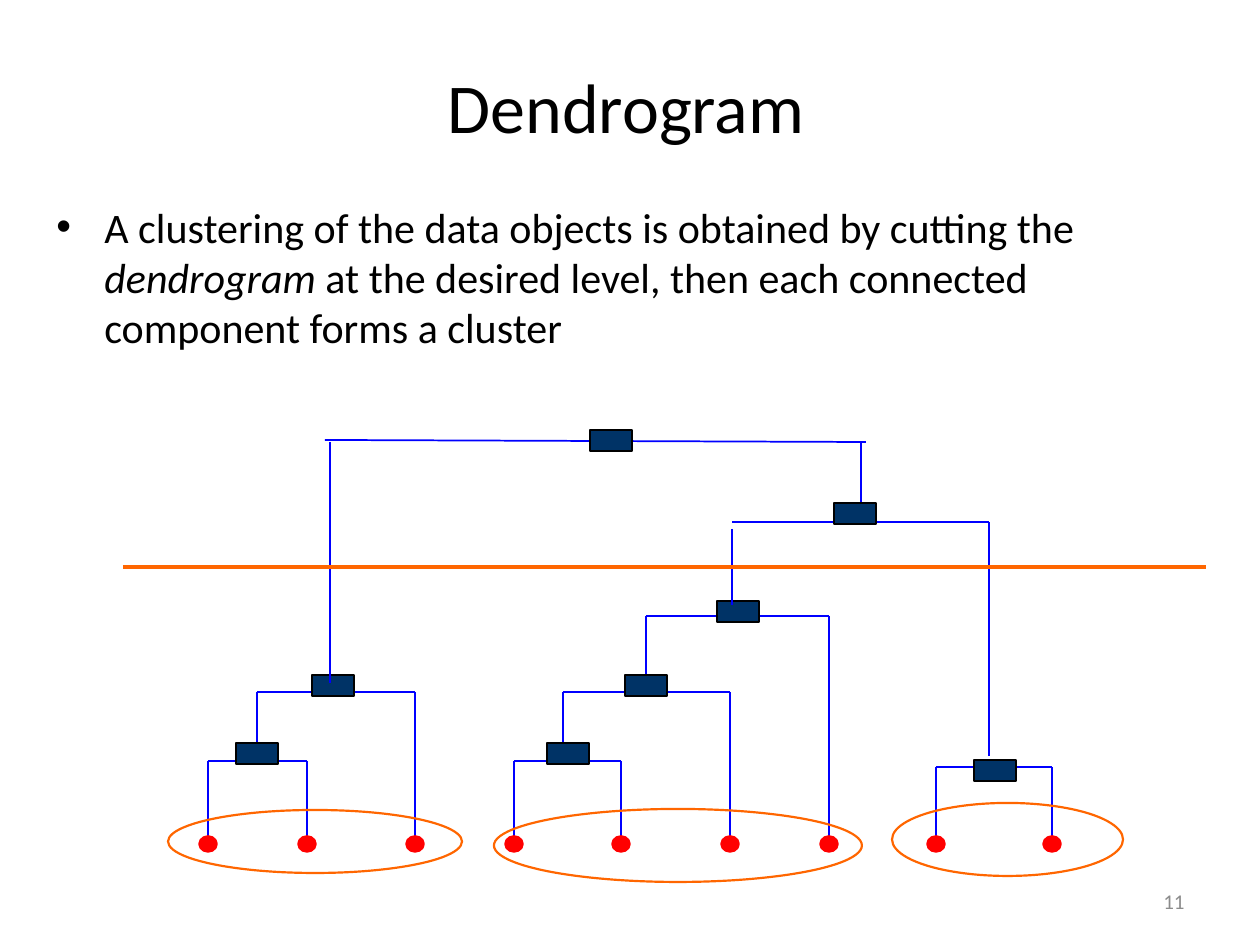
from lxml.etree import SubElement
from pptx import Presentation
from pptx.dml.color import RGBColor
from pptx.enum.shapes import MSO_CONNECTOR as Connector, MSO_SHAPE as Shape
from pptx.enum.text import MSO_ANCHOR as Anchor, PP_ALIGN as Align
from pptx.oxml.ns import qn
from pptx.util import Pt

SCALE = 914400 / 126
COLORS = {
    "text": "000000", "number": "8C8C8C", "link": "0000FF", "leaf": "FF0000",
    "node": "003366", "node_edge": "000000", "cut": "FF6600",
}


def px(length):
    """Turn px into EMU."""
    return round(length * SCALE)


def color(key):
    """Look up a colour."""
    return RGBColor.from_string(COLORS[key])


def add_text(slide, box, runs, size, color_key="text", align=Align.LEFT, anchor=Anchor.TOP):
    """Place one paragraph of (words, italic) runs in a box and return it."""
    frame = slide.shapes.add_textbox(*map(px, box)).text_frame
    for name, value in {"word_wrap": True, "vertical_anchor": anchor}.items():
        setattr(frame, name, value)
    paragraph = frame.paragraphs[0]
    paragraph.alignment = align
    for words, italic in runs:
        run = paragraph.add_run()
        run.text = words
        run.font.color.rgb = color(color_key)
        for name, value in {"name": "Calibri", "size": Pt(size), "italic": italic}.items():
            setattr(run.font, name, value)
    return paragraph


def add_line(slide, origin, points, color_key="link", width=1):
    """Draw a straight line between two points relative to the origin."""
    x, y = origin
    x1, y1, x2, y2 = points
    line = slide.shapes.add_connector(
        Connector.STRAIGHT, px(x + x1), px(y + y1), px(x + x2), px(y + y2))
    line.line.color.rgb = color(color_key)
    line.line.width = Pt(width)
    SubElement(line._element.spPr, qn("a:effectLst"))


def add_mark(slide, origin, box, kind, edge, width, fill=None):
    """Draw an outlined shape relative to the origin, filled if a colour is given."""
    left, top, *size = box
    mark = slide.shapes.add_shape(
        kind, *map(px, (origin[0] + left, origin[1] + top, *size)))
    mark.shadow.inherit = False
    mark.line.color.rgb = color(edge)
    mark.line.width = Pt(width)
    if fill:
        mark.fill.solid()
        mark.fill.fore_color.rgb = color(fill)
    else:
        mark.fill.background()


def add_nodes(slide, origin, corners):
    """Draw the merge nodes at their top left corners."""
    for left, top in corners:
        add_mark(slide, origin, (left, top, 42, 21), Shape.RECTANGLE, "node_edge", 0.75, "node")


def add_bullet(slide, box):
    """Place the bulleted explanation."""
    paragraph = add_text(slide, box, [
        ("A clustering of the data objects is obtained by cutting the ", False),
        ("dendrogram", True),
        (" at the desired level, then each connected component forms a cluster", False),
    ], 24)
    paragraph.space_before = Pt(5)
    properties = paragraph._p.get_or_add_pPr()
    properties.set("marL", str(px(48)))
    properties.set("indent", str(-px(48)))
    SubElement(properties, qn("a:buFont"), typeface="Arial")
    SubElement(properties, qn("a:buChar"), char="•")


def add_dendrogram(slide, origin):
    """Draw the merge tree, the cut and the resulting clusters."""
    leaf_y = 424
    merges = [
        (88, 187, 341, leaf_y), (137, 295, 272, 341),
        (394, 501, 341, leaf_y), (443, 610, 272, 341), (526, 709, 196, 272),
        (816, 932, 347, leaf_y),
    ]
    for left, right, top, left_end in merges:
        add_line(slide, origin, (left, top, right, top))
        add_line(slide, origin, (left, top, left, left_end))
        add_line(slide, origin, (right, top, right, leaf_y))

    left_leaves = [left for left, _, _, end in merges if end == leaf_y]
    for center in sorted(left_leaves + [right for _, right, _, _ in merges]):
        add_mark(slide, origin, (center - 8, leaf_y - 7, 16, 14), Shape.OVAL, "leaf", 2, "leaf")

    add_nodes(slide, origin, [(116, 323), (192, 255), (427, 323), (505, 255), (597, 181)])
    upper_links = [
        (612, 109, 612, 185), (869, 336, 869, 102), (869, 102, 612, 102),
        (741, 22, 741, 104), (746, 22, 205, 20), (210, 263, 210, 22),
    ]
    for points in upper_links:
        add_line(slide, origin, points)
    add_nodes(slide, origin, [(470, 10), (714, 83), (854, 340)])

    add_line(slide, origin, (3, 147, 1086, 147), "cut", 2)
    for cluster in [(48, 390, 294, 63), (374, 389, 368, 73), (772, 383, 231, 73)]:
        add_mark(slide, origin, cluster, Shape.OVAL, "cut", 1.25)


def main():
    """Build and save the slide."""
    deck = Presentation()
    deck.slide_width, deck.slide_height = px(1260), px(945)
    slide = deck.slides.add_slide(deck.slide_layouts[6])
    add_text(slide, (903, 876, 294, 50), [("11", False)], 12, "number", Align.RIGHT, Anchor.MIDDLE)
    add_text(slide, (106, 16, 1040, 179), [("Dendrogram", False)], 40,
             align=Align.CENTER, anchor=Anchor.MIDDLE)
    add_bullet(slide, (44, 195, 1169, 262))
    add_dendrogram(slide, (120, 420))
    deck.save("out.pptx")


if __name__ == "__main__":
    main()
